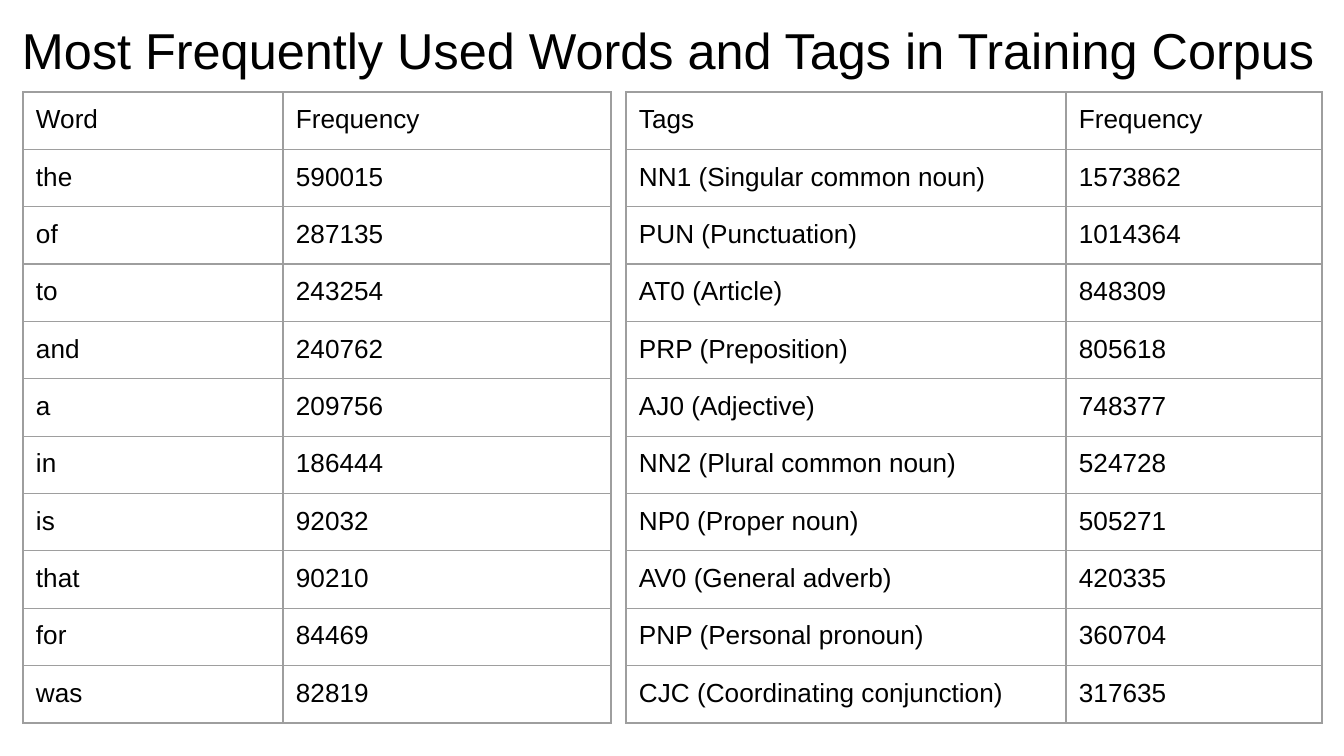
from lxml import etree
from pptx import Presentation
from pptx.dml.color import RGBColor
from pptx.enum.text import MSO_ANCHOR
from pptx.oxml.ns import qn
from pptx.util import Emu, Pt

TOP = MSO_ANCHOR.TOP
EMU_PER_PX = 914400 / 134.4
BLANK_LAYOUT = 6
INSET = 13
ROW_HEIGHT = 56
BORDER_WIDTH = 0.75
INK, RULE, PAPER = "000000", "9E9E9E", "FFFFFF"

HEADING = "Most Frequently Used Words and Tags in Training Corpus"
WORDS = [
    ("Word", "Frequency"),
    ("the", "590015"),
    ("of", "287135"),
    ("to", "243254"),
    ("and", "240762"),
    ("a", "209756"),
    ("in", "186444"),
    ("is", "92032"),
    ("that", "90210"),
    ("for", "84469"),
    ("was", "82819"),
]
TAGS = [
    ("Tags", "Frequency"),
    ("NN1 (Singular common noun)", "1573862"),
    ("PUN (Punctuation)", "1014364"),
    ("AT0 (Article)", "848309"),
    ("PRP (Preposition)", "805618"),
    ("AJ0 (Adjective)", "748377"),
    ("NN2 (Plural common noun)", "524728"),
    ("NP0 (Proper noun)", "505271"),
    ("AV0 (General adverb)", "420335"),
    ("PNP (Personal pronoun)", "360704"),
    ("CJC (Coordinating conjunction)", "317635"),
]


def px(length):
    """Turn pixels into EMU."""
    return Emu(round(length * EMU_PER_PX))


def colour(hex_value):
    """Turn a hex string into a colour."""
    return RGBColor.from_string(hex_value)


def apply(target, values):
    """Set every attribute named in a dict of format values."""
    for name, value in values.items():
        setattr(target, name, value)


def insets(top=INSET):
    """Return the four margins shared by the heading and the cells."""
    return {
        "margin_left": px(INSET),
        "margin_right": px(INSET),
        "margin_top": px(top),
        "margin_bottom": px(INSET),
        "vertical_anchor": TOP,
    }


def write(frame, wording, size):
    """Put one run of black Arial into a text frame."""
    run = frame.paragraphs[0].add_run()
    run.text = wording
    apply(run.font, {"name": "Arial", "size": Pt(size)})
    run.font.color.rgb = colour(INK)


def add_borders(cell):
    """Draw a thin grey line on each side of a cell."""
    properties = cell._tc.get_or_add_tcPr()
    for position, side in enumerate(("a:lnL", "a:lnR", "a:lnT", "a:lnB")):
        line = etree.Element(qn(side), w=str(Pt(BORDER_WIDTH)))
        fill = etree.SubElement(line, qn("a:solidFill"))
        etree.SubElement(fill, qn("a:srgbClr"), val=RULE)
        properties.insert(position, line)


def add_heading(slide, left, top, width, height):
    """Place the slide heading in its box."""
    frame = slide.shapes.add_textbox(px(left), px(top), px(width), px(height)).text_frame
    apply(frame, {"word_wrap": True, **insets(top=19)})
    write(frame, HEADING, 27)


def add_frequency_table(slide, left, top, column_widths, entries):
    """Place a two-column frequency table with its corner at left, top."""
    table = slide.shapes.add_table(
        len(entries), len(column_widths), px(left), px(top),
        px(sum(column_widths)), px(ROW_HEIGHT * len(entries)),
    ).table
    apply(table, {"first_row": False, "horz_banding": False})
    for column, width in zip(table.columns, column_widths):
        column.width = px(width)
    for row, entry in zip(table.rows, entries):
        row.height = px(ROW_HEIGHT)
        for cell, wording in zip(row.cells, entry):
            apply(cell, insets())
            cell.fill.background()
            add_borders(cell)
            write(cell.text_frame, wording, 14)


def main():
    """Build the slide and save it."""
    deck = Presentation()
    apply(deck, {"slide_width": px(1344), "slide_height": px(756)})
    slide = deck.slides.add_slide(deck.slide_layouts[BLANK_LAYOUT])
    slide.background.fill.solid()
    slide.background.fill.fore_color.rgb = colour(PAPER)
    add_heading(slide, 9, 0, 1324, 112)
    add_frequency_table(slide, 23, 92, (260, 328), WORDS)
    add_frequency_table(slide, 626, 92, (440, 256), TAGS)
    deck.save("out.pptx")


if __name__ == "__main__":
    main()
